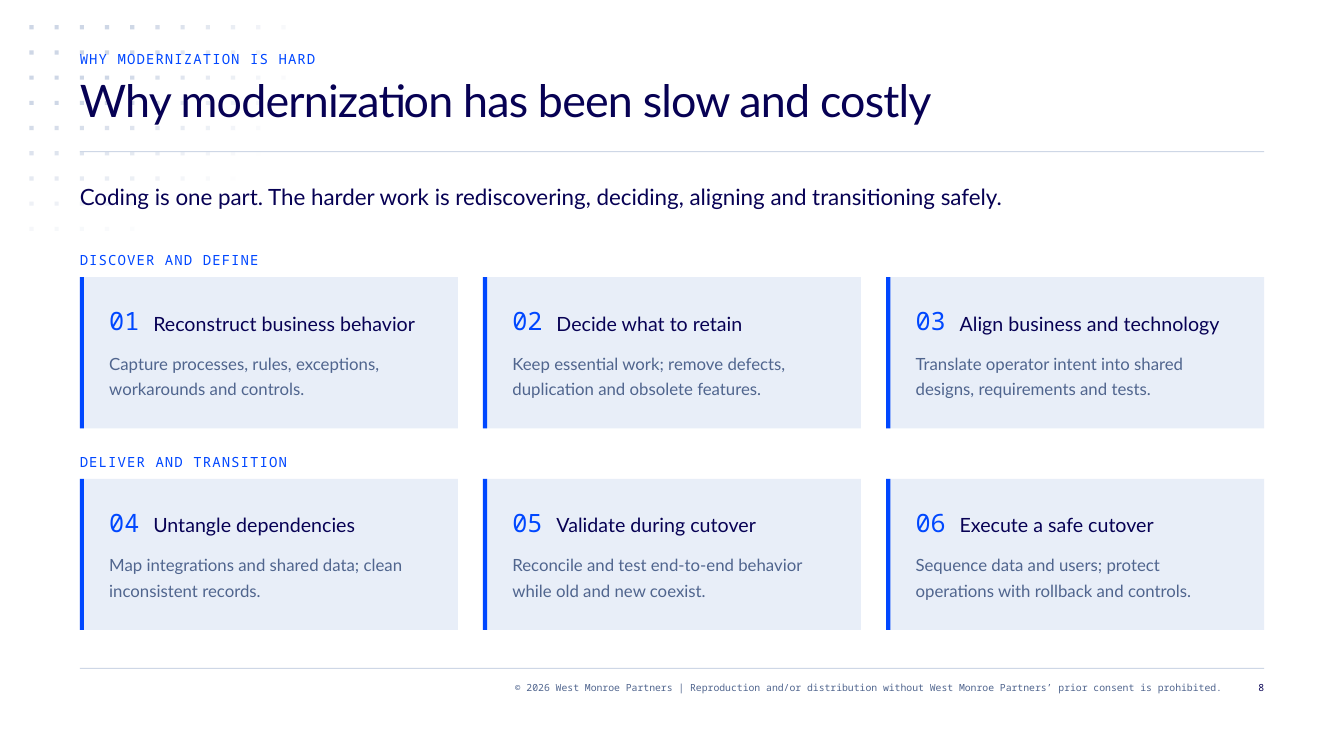
from math import hypot

from lxml.etree import SubElement
from pptx import Presentation
from pptx.dml.color import RGBColor
from pptx.enum.shapes import MSO_SHAPE as Shape
from pptx.enum.text import MSO_ANCHOR as Anchor, PP_ALIGN as Align
from pptx.oxml.ns import qn
from pptx.util import Emu, Pt

PX = 9525
SANS, MONO = "Lato", "Noto Sans Mono"
NAVY, BLUE, SLATE = "070154", "0047FF", "50658E"
RULE, PALE = "CED7E6", "E8EEF8"

LEFT, WIDTH = 76, 1128
GRID = 24
CARD_WIDTH, CARD_HEIGHT = 360, 144

SECTIONS = [
    ("DISCOVER AND DEFINE", [
        ("Reconstruct business behavior",
         "Capture processes, rules, exceptions, workarounds and controls."),
        ("Decide what to retain",
         "Keep essential work; remove defects, duplication and obsolete features."),
        ("Align business and technology",
         "Translate operator intent into shared designs, requirements and tests."),
    ]),
    ("DELIVER AND TRANSITION", [
        ("Untangle dependencies",
         "Map integrations and shared data; clean inconsistent records."),
        ("Validate during cutover",
         "Reconcile and test end-to-end behavior while old and new coexist."),
        ("Execute a safe cutover",
         "Sequence data and users; protect operations with rollback and controls."),
    ]),
]


def px(length):
    return Emu(length * PX)


def color(value):
    return RGBColor.from_string(value)


def add_block(shapes, left, top, width, height, fill, opacity=100):
    block = shapes.add_shape(Shape.RECTANGLE, px(left), px(top), px(width), px(height))
    block.shadow.inherit = False
    block.fill.solid()
    block.fill.fore_color.rgb = color(fill)
    block.line.fill.background()
    if opacity < 100:
        fill_color = block._element.spPr.find(qn("a:solidFill"))[0]
        SubElement(fill_color, qn("a:alpha")).set("val", str(opacity * 1000))


def add_text(shapes, text, left, top, width, height, *, size, line,
             font=SANS, fill=NAVY, align=Align.LEFT, tracking=0):
    frame = shapes.add_textbox(px(left), px(top), px(width), px(height)).text_frame
    frame.word_wrap = True
    frame.vertical_anchor = Anchor.TOP
    frame.margin_left = frame.margin_right = 0
    frame.margin_top = frame.margin_bottom = 0
    paragraph = frame.paragraphs[0]
    paragraph.alignment = align
    paragraph.line_spacing = Pt(line)
    run = paragraph.add_run()
    run.text = text
    run.font.name = font
    run.font.size = Pt(size)
    run.font.color.rgb = color(fill)
    if tracking:
        run._r.get_or_add_rPr().set("spc", str(tracking))


def add_label(shapes, text, top):
    add_text(shapes, text, LEFT, top, WIDTH, 16,
             size=10, line=12, font=MONO, fill=BLUE, tracking=80)


def add_dots(shapes, left, top):
    # Dots fade out along an ellipse around the corner
    for column in range(11):
        for row in range(9):
            distance = hypot(column / 11.08, row / 9.08)
            opacity = min(100, int(152.5 * (1 - distance)))
            if opacity >= 2:
                add_block(shapes, left + column * GRID, top + row * GRID,
                          4, 4, RULE, opacity)


def add_header(shapes, left, top, width):
    add_block(shapes, left, top + 96, width, 1, RULE)
    add_label(shapes, "WHY MODERNIZATION IS HARD", top)
    add_text(shapes, "Why modernization has been slow and costly",
             left, top + 24, width, 72, size=32, line=36, tracking=-60)
    add_text(shapes, "Coding is one part. The harder work is rediscovering, "
             "deciding, aligning and transitioning safely.",
             left, top + 120, width, 32, size=16, line=24)


def add_card(slide, number, title, body, left, top):
    shapes = slide.shapes.add_group_shape().shapes
    add_block(shapes, left, top, CARD_WIDTH, CARD_HEIGHT, PALE)
    add_block(shapes, left, top, 4, CARD_HEIGHT, BLUE)
    add_text(shapes, f"{number:02}", left + 28, top + 24, 30, 32,
             size=18, line=24, font=MONO, fill=BLUE)
    add_text(shapes, title, left + 70, top + 27, 266, 28, size=14, line=21)
    add_text(shapes, body, left + 28, top + 68, 308, 48,
             size=12, line=18, fill=SLATE)


def add_section(slide, label, cards, first_number, left, top):
    add_label(slide.shapes, label, top)
    for index, (title, body) in enumerate(cards):
        add_card(slide, first_number + index, title, body,
                 left + index * (CARD_WIDTH + GRID), top + 24)


def add_footer(shapes, left, top, width):
    add_block(shapes, left, top, width, 1, RULE)
    style = dict(size=7, line=9, font=MONO, align=Align.RIGHT)
    add_text(shapes, "© 2026 West Monroe Partners | Reproduction and/or distribution "
             "without West Monroe Partners’ prior consent is prohibited.",
             left + 152, top + 12, 936, 24, fill=SLATE, **style)
    add_text(shapes, "8", left + width - 32, top + 12, 32, 24, **style)


def main():
    presentation = Presentation()
    presentation.slide_width, presentation.slide_height = px(1280), px(720)
    slide = presentation.slides.add_slide(presentation.slide_layouts[6])

    # Backdrop and heading
    add_dots(slide.shapes, 28, 24)
    add_header(slide.shapes, LEFT, 48, WIDTH)

    # Two rows of numbered cards
    for row, (label, cards) in enumerate(SECTIONS):
        add_section(slide, label, cards, row * len(cards) + 1, LEFT, 240 + row * 192)

    add_footer(slide.shapes, LEFT, 636, WIDTH)
    presentation.save("out.pptx")


if __name__ == "__main__":
    main()
